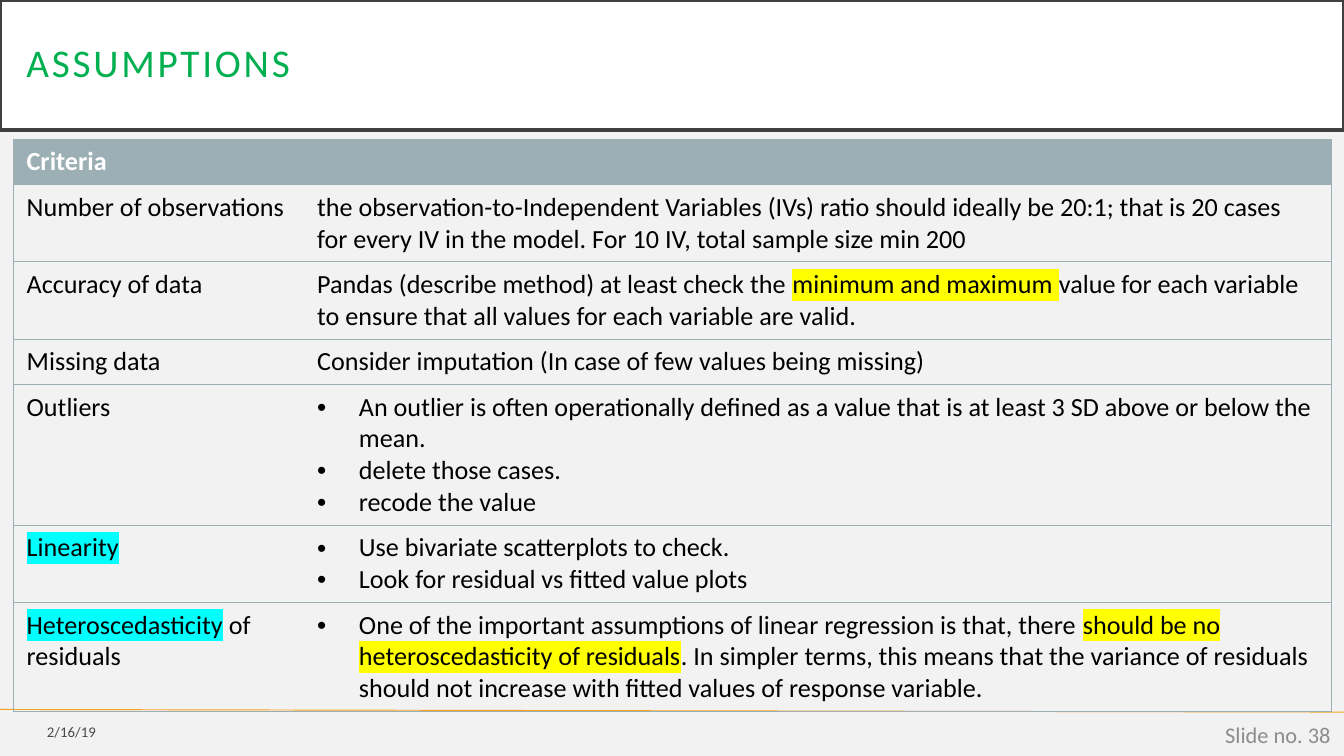
from lxml import etree
from pptx import Presentation
from pptx.dml.color import RGBColor
from pptx.enum.shapes import MSO_CONNECTOR, MSO_SHAPE
from pptx.enum.text import MSO_ANCHOR, PP_ALIGN
from pptx.oxml import parse_xml
from pptx.oxml.ns import nsdecls, qn
from pptx.util import Cm, Pt

STRAIGHT = MSO_CONNECTOR.STRAIGHT
RECTANGLE = MSO_SHAPE.RECTANGLE
MIDDLE = MSO_ANCHOR.MIDDLE
LEFT, RIGHT = PP_ALIGN.LEFT, PP_ALIGN.RIGHT

THEME = {
    "font": "Calibri",
    "background": "F2F2F2", "panel": "FFFFFF", "frame": "404040",
    "title": "00B050", "text": "000000", "header": "FFFFFF",
    "grid": "9BAFB5", "accent": "F6A21D", "number": "8C8C8C",
    "yellow": "FFFF00", "cyan": "00FFFF",
    "title_size": 21, "table_size": 14, "date_size": 7.9, "number_size": 12,
}

TITLE = "ASSUMPTIONS"
DATE = "2/16/19"
SLIDE_NUMBER = "Slide no. 38"
HEADER = "Criteria"

CRITERIA = [
    {"name": ["Number of observations"], "lines": 2, "details": [
        ["the observation-to-Independent Variables (IVs) ratio should ideally be 20:1; "
         "that is 20 cases for every IV in the model. For 10 IV, total sample size min 200"]]},
    {"name": ["Accuracy of data"], "lines": 2, "details": [
        ["Pandas (describe method) at least check the ",
         ("minimum and maximum ", "yellow"),
         "value for each variable to ensure that all values for each variable are valid."]]},
    {"name": ["Missing data"], "lines": 1, "details": [
        ["Consider imputation (In case of few values being missing)"]]},
    {"name": ["Outliers"], "lines": 4, "bullet": True, "details": [
        ["An outlier is often operationally defined as a value that is at least 3 SD "
         "above or below the mean."],
        ["delete those cases."],
        ["recode the value"]]},
    {"name": [("Linearity", "cyan")], "lines": 2, "bullet": True, "details": [
        ["Use bivariate scatterplots to check."],
        ["Look for residual vs fitted value plots"]]},
    {"name": [("Heteroscedasticity", "cyan"), " of residuals"], "lines": 3, "bullet": True,
     "details": [
        ["One of the important assumptions of linear regression is that, there ",
         ("should be no heteroscedasticity of residuals", "yellow"),
         ". In simpler terms, this means that the variance of residuals should not "
         "increase with fitted values of response variable."]]},
]

SLIDE_WIDTH, SLIDE_HEIGHT = 25.4, 14.29
TABLE_LEFT, TABLE_TOP = 0.25, 2.63
COLUMN_WIDTHS = [5.49, 19.42]
LINE_HEIGHT, CELL_PADDING = 0.6, 0.26
BULLET_INDENT = 0.79
NO_STYLE = "{2D5ABB26-0587-4C30-8999-92F81FD0307C}"


def color(name):
    return RGBColor.from_string(THEME[name])


def write_text(frame, paragraphs, size, ink="text", bold=False, align=LEFT,
               bullet=False, spacing=None, tracking=None, alpha=None):
    frame.word_wrap = True
    for index, pieces in enumerate(paragraphs):
        paragraph = frame.paragraphs[0] if index == 0 else frame.add_paragraph()
        paragraph.alignment = align
        if spacing:
            paragraph.line_spacing = spacing
        if bullet:
            properties = paragraph._p.get_or_add_pPr()
            properties.set("marL", str(Cm(BULLET_INDENT)))
            properties.set("indent", str(-Cm(BULLET_INDENT)))
            etree.SubElement(properties, qn("a:buFont")).set("typeface", "Arial")
            etree.SubElement(properties, qn("a:buChar")).set("char", "•")
        for piece in pieces:
            words, marker = (piece, None) if isinstance(piece, str) else piece
            run = paragraph.add_run()
            run.text = words
            run.font.size = Pt(THEME[size])
            run.font.bold = bold
            run.font.color.rgb = color(ink)
            run.font.name = THEME["font"]
            properties = run._r.get_or_add_rPr()
            solid = properties.find(qn("a:solidFill"))
            if alpha:
                etree.SubElement(solid[0], qn("a:alpha")).set("val", str(alpha * 1000))
            if tracking:
                properties.set("spc", str(tracking))
            if marker:
                solid.addnext(parse_xml(
                    f'<a:highlight {nsdecls("a")}><a:srgbClr val="{THEME[marker]}"/></a:highlight>'))
        if not pieces:
            ending = etree.SubElement(paragraph._p, qn("a:endParaRPr"))
            ending.set("sz", str(THEME[size] * 100))


def set_borders(cell, sides):
    properties = cell._tc.get_or_add_tcPr()
    for index, side in enumerate(sides):
        properties.insert(index, parse_xml(
            f'<a:ln{side} {nsdecls("a")} w="{Pt(0.5)}"><a:solidFill>'
            f'<a:srgbClr val="{THEME["grid"]}"/></a:solidFill></a:ln{side}>'))


def add_footer(slide, left, top, width, height, text, **text_format):
    box = slide.shapes.add_textbox(Cm(left), Cm(top), Cm(width), Cm(height))
    box.text_frame.vertical_anchor = MIDDLE
    write_text(box.text_frame, [[text]], align=RIGHT, **text_format)


def add_title(slide):
    panel = slide.shapes.add_shape(RECTANGLE, 0, 0, Cm(SLIDE_WIDTH), Cm(2.46))
    panel.shadow.inherit = False
    panel.fill.solid()
    panel.fill.fore_color.rgb = color("panel")
    panel.line.color.rgb = color("frame")
    panel.line.width = Pt(2.5)
    frame = panel.text_frame
    frame.vertical_anchor = MIDDLE
    frame.margin_left = frame.margin_right = frame.margin_top = frame.margin_bottom = Cm(0.5)
    write_text(frame, [[TITLE]], "title_size", ink="title", spacing=0.9, tracking=150)


def add_footer_line(slide):
    line = slide.shapes.add_connector(STRAIGHT, 0, Cm(13.41), Cm(SLIDE_WIDTH), Cm(13.46))
    line.line.color.rgb = color("accent")
    line.line.width = Pt(0.5)
    etree.SubElement(line._element.spPr, qn("a:effectLst"))


def add_criteria_table(slide):
    heights = [CELL_PADDING + LINE_HEIGHT * lines
               for lines in [1] + [row["lines"] for row in CRITERIA]]
    table = slide.shapes.add_table(
        len(heights), len(COLUMN_WIDTHS), Cm(TABLE_LEFT), Cm(TABLE_TOP),
        Cm(sum(COLUMN_WIDTHS)), Cm(sum(heights))).table
    table.horz_banding = False
    table._tbl.tblPr.find(qn("a:tableStyleId")).text = NO_STYLE
    for column, width in zip(table.columns, COLUMN_WIDTHS):
        column.width = Cm(width)
    for row, height in zip(table.rows, heights):
        row.height = Cm(height)
        for cell, outer_side in zip(row.cells, "LR"):
            cell.fill.background()
            set_borders(cell, outer_side + "TB")

    for cell, pieces in zip(table.rows[0].cells, ([HEADER], [])):
        cell.fill.solid()
        cell.fill.fore_color.rgb = color("grid")
        write_text(cell.text_frame, [pieces], "table_size", ink="header", bold=True)
    for index, criterion in enumerate(CRITERIA, start=1):
        write_text(table.cell(index, 0).text_frame, [criterion["name"]], "table_size")
        write_text(table.cell(index, 1).text_frame, criterion["details"], "table_size",
                   bullet=criterion.get("bullet", False))


def main():
    presentation = Presentation()
    presentation.slide_width = Cm(SLIDE_WIDTH)
    presentation.slide_height = Cm(SLIDE_HEIGHT)
    slide = presentation.slides.add_slide(presentation.slide_layouts[6])
    slide.background.fill.solid()
    slide.background.fill.fore_color.rgb = color("background")
    add_footer_line(slide)
    add_title(slide)
    add_footer(slide, 0, 13.49, 2.06, 0.69, DATE, size="date_size", alpha=70)
    add_footer(slide, 19.68, 13.51, 5.72, 0.76, SLIDE_NUMBER, size="number_size", ink="number")
    add_criteria_table(slide)
    presentation.save("out.pptx")


if __name__ == "__main__":
    main()
